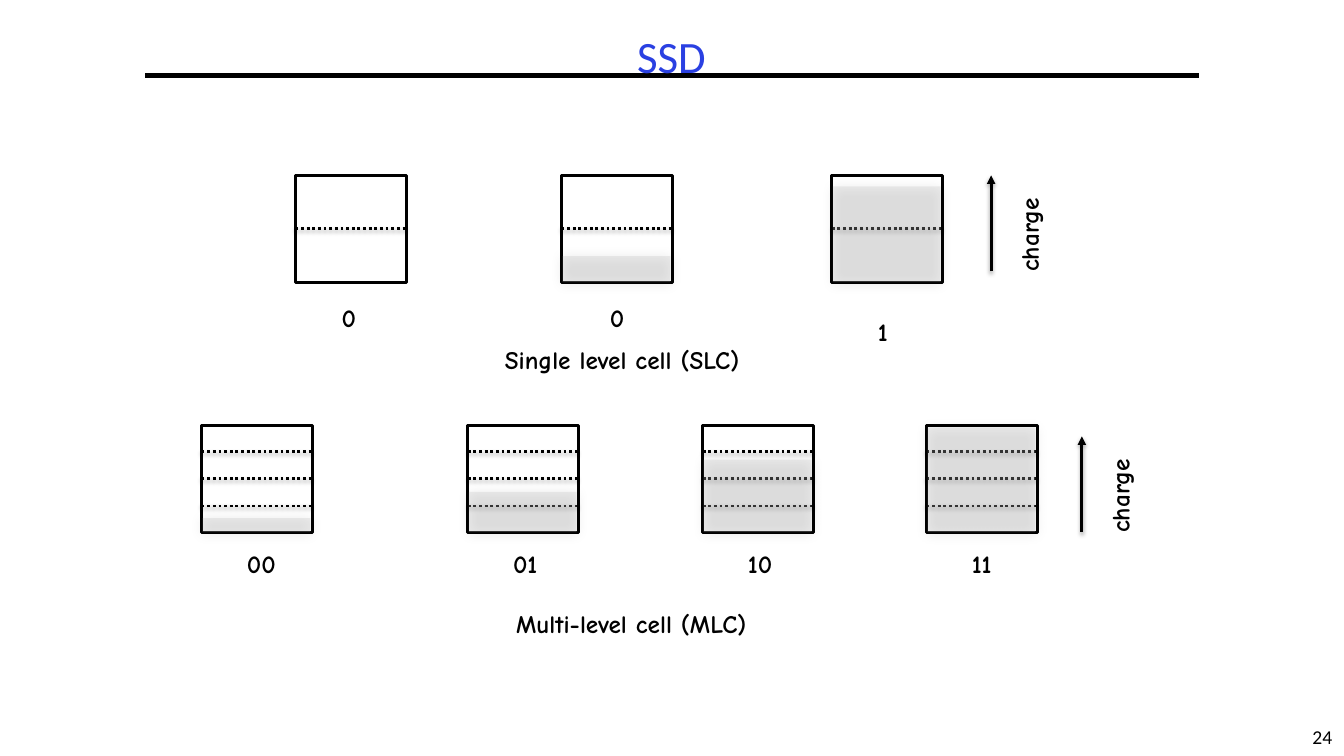
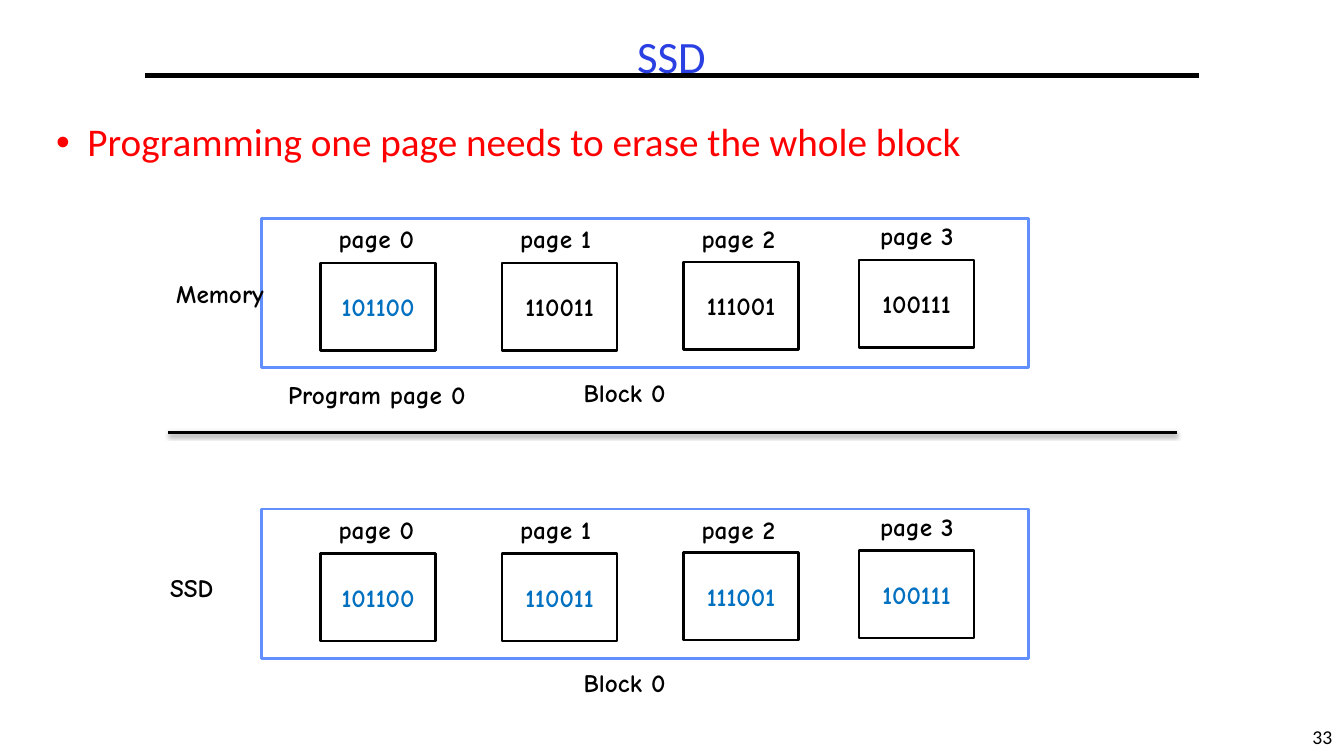
from lxml.etree import SubElement
from pptx import Presentation
from pptx.dml.color import RGBColor
from pptx.enum.dml import MSO_LINE
from pptx.enum.shapes import MSO_CONNECTOR, MSO_SHAPE
from pptx.enum.text import MSO_ANCHOR, PP_ALIGN as ALIGN
from pptx.oxml import parse_xml
from pptx.oxml.ns import nsdecls, qn
from pptx.util import Pt

PX = 9144
BLACK = RGBColor(0x00, 0x00, 0x00)
WHITE = RGBColor(0xFF, 0xFF, 0xFF)
TITLE = RGBColor(0x2A, 0x40, 0xE2)
RED = RGBColor(0xFF, 0x00, 0x00)
BLUE = RGBColor(0x00, 0x70, 0xC0)
FRAME = RGBColor(0x61, 0x8F, 0xFD)
GREY = RGBColor(0xBF, 0xBF, 0xBF)
PLAIN = "Calibri"
HAND = "Comic Neue"
SHADE = (
    f'<a:effectLst {nsdecls("a")}><a:outerShdw blurRad="%d" dist="%d" dir="5400000" '
    'rotWithShape="0"><a:srgbClr val="000000"><a:alpha val="%d"/></a:srgbClr>'
    '</a:outerShdw></a:effectLst>'
)
THIN = SHADE % (Pt(3.1), Pt(1.6), 38000)
SOFT = SHADE % (Pt(9), Pt(1), 35000)
NONE = f'<a:effectLst {nsdecls("a")}/>'


def put(slide, text, box, edge=None, color=BLACK, font=HAND, size=18, align=ALIGN.LEFT):
    area = [n * PX for n in box]
    if edge is None:
        shape = slide.shapes.add_textbox(*area)
    else:
        shape = slide.shapes.add_shape(MSO_SHAPE.RECTANGLE, *area)
        shape.shadow.inherit = False
        shape.fill.solid()
        shape.fill.fore_color.rgb = WHITE
        shape.line.color.rgb = edge
        shape.line.width = Pt(2)
        shape.text_frame.vertical_anchor = MSO_ANCHOR.MIDDLE
    if text:
        frame = shape.text_frame
        frame.word_wrap = True
        frame.text = text
        para = frame.paragraphs[0]
        para.alignment = align
        style = para.runs[0].font
        style.name = font
        style.size = Pt(size)
        style.bold = font == HAND
        style.color.rgb = color
        if font == PLAIN:
            para.line_spacing = 0.9
    return shape


def draw(slide, ends, width=2, shade=THIN):
    line = slide.shapes.add_connector(MSO_CONNECTOR.STRAIGHT, *[n * PX for n in ends])
    line.line.color.rgb = BLACK
    line.line.width = Pt(width)
    line._element.spPr.append(parse_xml(shade))
    return line


deck = Presentation()
deck.slide_width = 1333 * PX
deck.slide_height = 750 * PX
slides = []
for page in ("24", "33"):
    slide = deck.slides.add_slide(deck.slide_layouts[6])
    put(slide, page, (1290, 717, 43, 33), font=PLAIN, size=14, align=ALIGN.CENTER)
    draw(slide, (144, 75, 1189, 75), 3, NONE)
    put(slide, "SSD", (46, 30, 1240, 58), color=TITLE, font=PLAIN, size=32, align=ALIGN.CENTER)
    slides.append(slide)
cells, blocks = slides

WIDE, HIGH = 110, 106
rows = [
    (174, (0,), [
        (293, 0, "0", 329, 295),
        (557, 26, "0", 595, 295),
        (825, 95, "1", 861, 309),
    ]),
    (422, (0, -27, 27), [
        (200, 14, "00", 235, 539),
        (464, 40, "01", 499, 539),
        (697, 72, "10", 732, 539),
        (919, 104, "11", 954, 539),
    ]),
]
for top, marks, row in rows:
    for left, level, bits, tag, low in row:
        cell = put(cells, "", (left, top, WIDE, HIGH), BLACK)
        for mark in marks:
            y = top + HIGH // 2 + mark
            line = draw(cells, (left, y, left + WIDE, y))
            line.line.dash_style = MSO_LINE.ROUND_DOT
            if mark == 0:
                line.begin_connect(cell, 1)
                line.end_connect(cell, 3)
        if level:
            area = (left + 1, top + HIGH - level, WIDE - 3, level)
            charge = cells.shapes.add_shape(MSO_SHAPE.RECTANGLE, *[n * PX for n in area])
            charge.fill.solid()
            charge.fill.fore_color.rgb = GREY
            tint = charge._element.spPr.find(qn("a:solidFill"))[0]
            SubElement(tint, qn("a:alpha"), val="27000")
            charge.line.fill.background()
            charge._element.spPr.append(parse_xml(SOFT))
        put(cells, bits, (tag, low, 21 + 15 * len(bits), 40))

put(cells, "Single level cell (SLC)", (491, 337, 286, 40))
put(cells, "Multi-level cell (MLC)", (502, 599, 284, 40))
for x, foot in ((983, 269), (1073, 528)):
    arrow = draw(cells, (x, foot, x, foot - 95))
    SubElement(arrow.line._get_or_add_ln(), qn("a:tailEnd"), type="triangle")
    label = put(cells, "charge", (x - 13, foot - 60, 101, 40))
    label.rotation = 270

point = put(blocks, "Programming one page needs to erase the whole block",
            (46, 117, 1240, 603), color=RED, font=PLAIN, size=28)
props = point.text_frame.paragraphs[0]._p.get_or_add_pPr()
props.set("marL", str(31 * PX))
props.set("indent", str(-31 * PX))
SubElement(props, qn("a:buFont"), typeface="Arial")
SubElement(props, qn("a:buChar"), char="•")

pages = [
    (318, 44, 326, 0, "101100"),
    (498, 44, 506, 0, "110011"),
    (678, 43, 686, 0, "111001"),
    (852, 41, 863, -3, "100111"),
]
for top, fresh in ((217, 1), (505, 4)):
    put(blocks, "", (259, top, 761, 148), FRAME)
    for i, (left, down, tag, rise, bits) in enumerate(pages):
        color = BLUE if i < fresh else BLACK
        put(blocks, bits, (left, top + down, 114, 87), BLACK, color, align=ALIGN.CENTER)
        put(blocks, f"page {i}", (tag, top + rise, 102, 40))
    put(blocks, "Block 0", (569, top + 152, 109, 40))

put(blocks, "Memory", (165, 271, 116, 40))
put(blocks, "SSD", (159, 563, 73, 40))
put(blocks, "Program page 0", (276, 371, 210, 40))
draw(blocks, (167, 429, 1167, 429))

deck.save("out.pptx")
